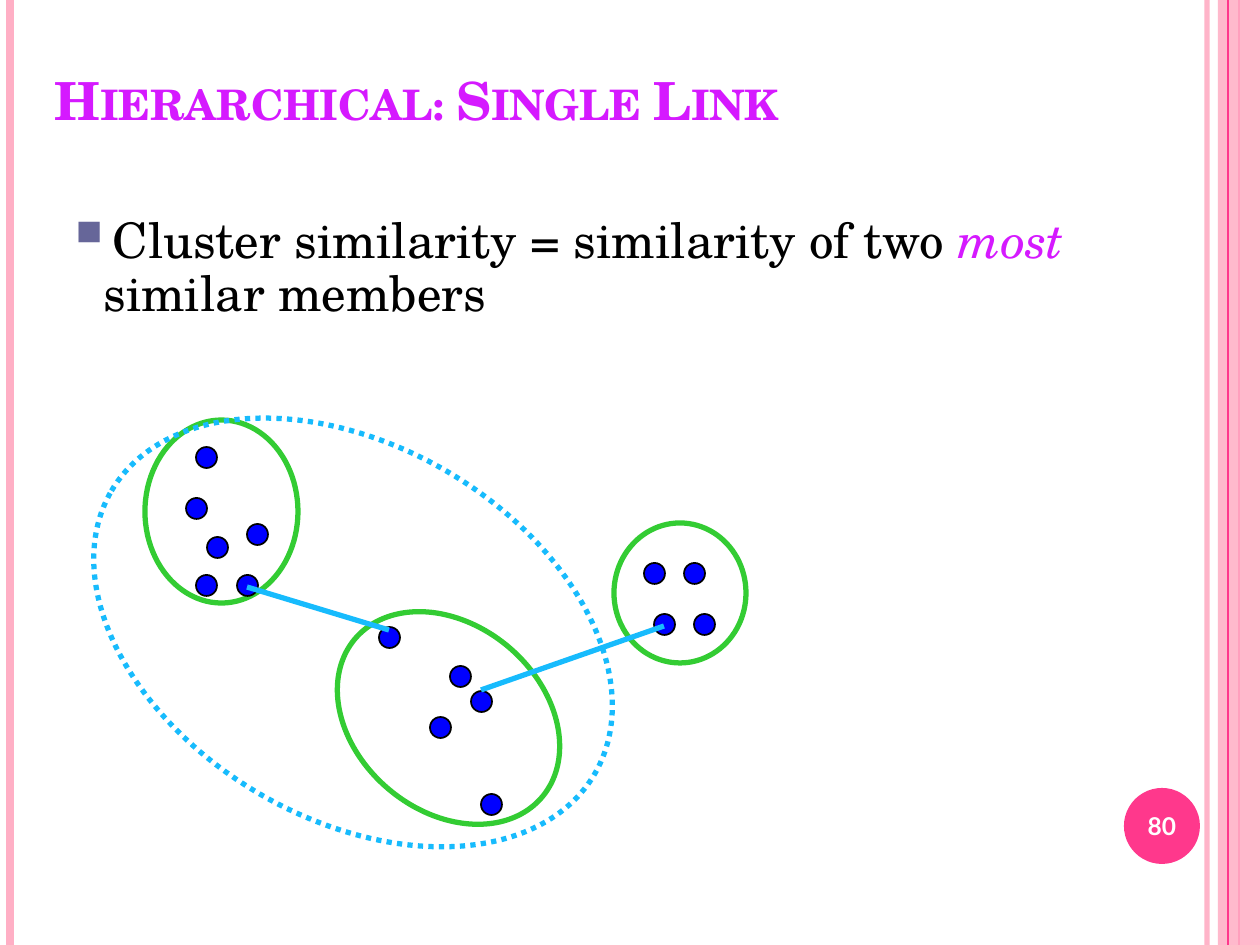
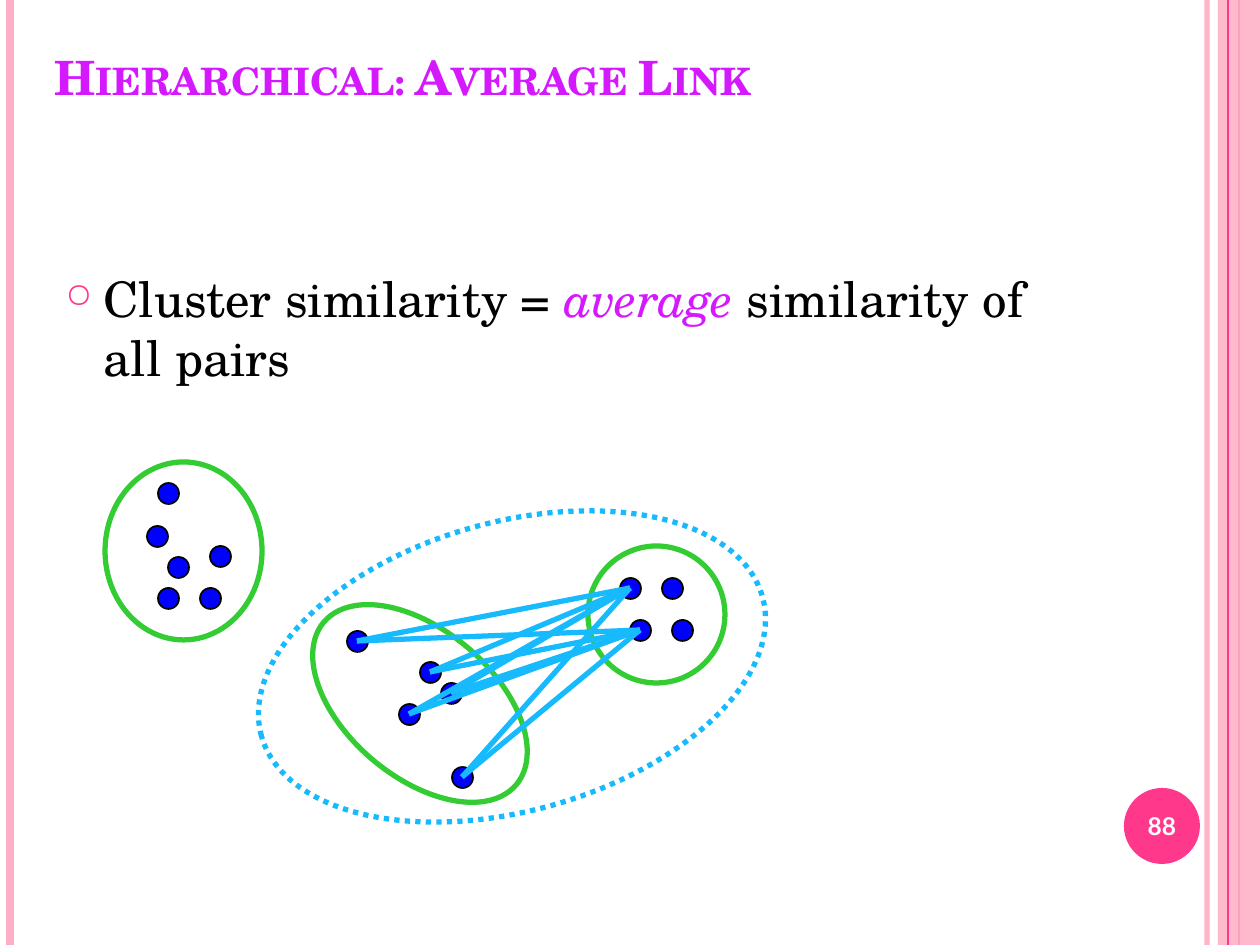
from dataclasses import dataclass
from itertools import product

from lxml import etree
from pptx import Presentation
from pptx.dml.color import RGBColor
from pptx.enum.dml import MSO_LINE
from pptx.enum.shapes import MSO_CONNECTOR, MSO_SHAPE
from pptx.enum.text import MSO_ANCHOR, MSO_AUTO_SIZE, PP_ALIGN
from pptx.oxml.ns import qn
from pptx.util import Emu, Pt

OVAL, RECT = MSO_SHAPE.OVAL, MSO_SHAPE.RECTANGLE
STRAIGHT, DOTTED = MSO_CONNECTOR.STRAIGHT, MSO_LINE.ROUND_DOT
LEFT, CENTER = PP_ALIGN.LEFT, PP_ALIGN.CENTER
TOP, MIDDLE, BOTTOM = MSO_ANCHOR.TOP, MSO_ANCHOR.MIDDLE, MSO_ANCHOR.BOTTOM
NO_FIT = MSO_AUTO_SIZE.NONE

WIDE, HIGH = 1260, 945
TITLE_ONLY = 5


@dataclass(frozen=True)
class Theme:
    serif: str = "TeX Gyre Schola"
    sans: str = "Lato"
    ink: str = "000000"
    white: str = "FFFFFF"
    pink: str = "FFAFC5"
    rose: str = "FF388C"
    accent: str = "D519FF"
    slate: str = "666699"
    dot: str = "0000FF"
    ring: str = "33CC33"
    link: str = "17BBFD"
    body: int = 28
    page: int = 14
    bold_line: int = 3


def px(n):
    return Emu(round(n * 914400 / 126))


def rgb(code):
    return RGBColor.from_string(code)


def add(parent, tag, **attrs):
    return etree.SubElement(parent, qn(tag), attrs)


def fade(holder, percent):
    """Make every colour under the element partly opaque."""
    for color in holder.iter(qn("a:srgbClr")):
        add(color, "a:alpha", val=str(percent * 1000))


def write(para, text, size, color, face, bold=False, italic=False, small=False):
    run = para.add_run()
    run.text = text
    font = run.font
    font.size, font.name = Pt(size), face
    font.bold, font.italic = bold, italic
    font.color.rgb = rgb(color)
    if small:
        run.font._element.set("cap", "small")


class Deck:
    def __init__(self, theme):
        self.theme = theme
        self.show = Presentation()
        self.show.slide_width, self.show.slide_height = px(WIDE), px(HIGH)
        self.slide = None

    def start(self, title, size, box, page):
        layout = self.show.slide_layouts[TITLE_ONLY]
        self.slide = self.show.slides.add_slide(layout)
        self.title(title, size, box)
        self.frame(page)

    def frame(self, page):
        """Draw the side bands and the page badge."""
        t = self.theme
        for x, color, width, solid in [
            (1207, t.pink, 3, 93), (10, t.pink, 4.5, 100), (1239, t.rose, 1.5, 100),
        ]:
            self.line((x, 0), (x, HIGH), color, width, solid)
        band = self.shape(RECT, (1218, 0, 42, HIGH), fill=t.pink)
        fade(band._element.spPr, 87)
        self.line((1228, 0), (1228, HIGH), t.rose, 0.75)
        self.shape(OVAL, (1124, 788, 76, 76), fill=t.rose)
        para = self.box((1120, 790, 84, 72), MIDDLE)
        para.alignment = CENTER
        write(para, str(page), t.page, t.white, t.sans, bold=True)

    def title(self, text, size, box):
        holder = self.slide.shapes.title
        holder.left, holder.top, holder.width, holder.height = map(px, box)
        para = self.fit(holder, BOTTOM)
        para.alignment = LEFT
        t = self.theme
        write(para, text, size, t.accent, t.serif, bold=True, small=True)

    def fit(self, holder, anchor):
        """Set up the text frame and return its first paragraph."""
        frame = holder.text_frame
        frame.word_wrap, frame.auto_size = True, NO_FIT
        frame.vertical_anchor = anchor
        return frame.paragraphs[0]

    def box(self, box, anchor=TOP):
        return self.fit(self.slide.shapes.add_textbox(*map(px, box)), anchor)

    def point(self, box, parts, mark, color, scale, space=1.0):
        """Write one bulleted paragraph; the middle part is stressed."""
        t = self.theme
        para = self.box(box)
        props = para._p.get_or_add_pPr()
        props.set("marL", str(px(38)))
        props.set("indent", str(px(-38)))
        add(add(props, "a:buClr"), "a:srgbClr", val=color)
        add(props, "a:buSzPct", val=str(scale * 1000))
        add(props, "a:buChar", char=mark)
        para.line_spacing = space
        for i, text in enumerate(parts):
            stress = i == 1
            write(para, text, t.body, t.accent if stress else t.ink, t.serif,
                  italic=stress)

    def shape(self, kind, box, fill=None, line=None, width=1, turn=0):
        item = self.slide.shapes.add_shape(kind, *map(px, box))
        item.shadow.inherit = False
        item.rotation = turn
        if fill:
            item.fill.solid()
            item.fill.fore_color.rgb = rgb(fill)
        else:
            item.fill.background()
        if line:
            item.line.color.rgb = rgb(line)
            item.line.width = Pt(width)
        else:
            item.line.fill.background()
        return item

    def line(self, start, end, color, width, solid=100):
        item = self.slide.shapes.add_connector(STRAIGHT, *map(px, (*start, *end)))
        item.line.color.rgb = rgb(color)
        item.line.width = Pt(width)
        props = item._element.spPr
        if solid < 100:
            fade(props, solid)
        add(props, "a:effectLst")

    def link(self, start, end):
        self.line(start, end, self.theme.link, self.theme.bold_line)

    def ring(self, box, turn=0):
        t = self.theme
        return self.shape(OVAL, box, line=t.ring, width=t.bold_line, turn=turn)

    def merge(self, box, turn):
        """Draw the dotted outline round two joined clusters."""
        t = self.theme
        item = self.shape(OVAL, box, line=t.link, width=t.bold_line, turn=turn)
        item.line.dash_style = DOTTED

    def group(self, box, dots, turn=0):
        """Draw a cluster: a ring and the dots centred at the given places."""
        t = self.theme
        self.ring(box, turn)
        for x, y in dots:
            self.shape(OVAL, (x - 10, y - 10, 21, 21), fill=t.dot, line=t.ink)


def single(deck):
    t = deck.theme
    deck.start("Hierarchical: Single Link", 30, (42, 32, 1071, 105), 80)
    deck.point((53, 210, 1050, 116),
               ["Cluster similarity = similarity of two ", "most ", "similar members"],
               "▪", t.slate, 130, 0.9)
    deck.group((145, 420, 153, 183),
               [(206, 457), (196, 508), (257, 534), (217, 547), (206, 585), (247, 585)])
    deck.group((326, 625, 245, 186),
               [(389, 637), (460, 676), (481, 701), (440, 727), (491, 804)], 40.2)
    deck.group((614, 523, 132, 140),
               [(654, 573), (694, 573), (664, 624), (704, 624)])
    deck.link((247, 587), (389, 630))
    deck.link((664, 626), (481, 690))
    deck.merge((73, 446, 560, 373), 30.4)


def average(deck):
    t = deck.theme
    deck.start("Hierarchical: Average Link", 27, (42, 42, 1029, 69), 88)
    deck.point((53, 262, 1050, 136),
               ["Cluster similarity = ", "average", " similarity of all pairs"],
               "○", t.rose, 70)
    mid = [(357, 641), (430, 672), (451, 693), (409, 714), (462, 777)]
    right = [(630, 588), (640, 630), (672, 588), (682, 630)]
    deck.group((105, 462, 157, 178),
               [(168, 493), (157, 536), (220, 556), (178, 567), (168, 598), (210, 598)])
    deck.group((294, 630, 252, 147), mid, 40.2)
    deck.group((588, 546, 137, 137), right)
    for start, end in product(right[:2], mid):
        deck.link(start, end)
    deck.merge((252, 522, 520, 289), 344.5)


def main():
    deck = Deck(Theme())
    single(deck)
    average(deck)
    deck.show.save("out.pptx")


if __name__ == "__main__":
    main()
